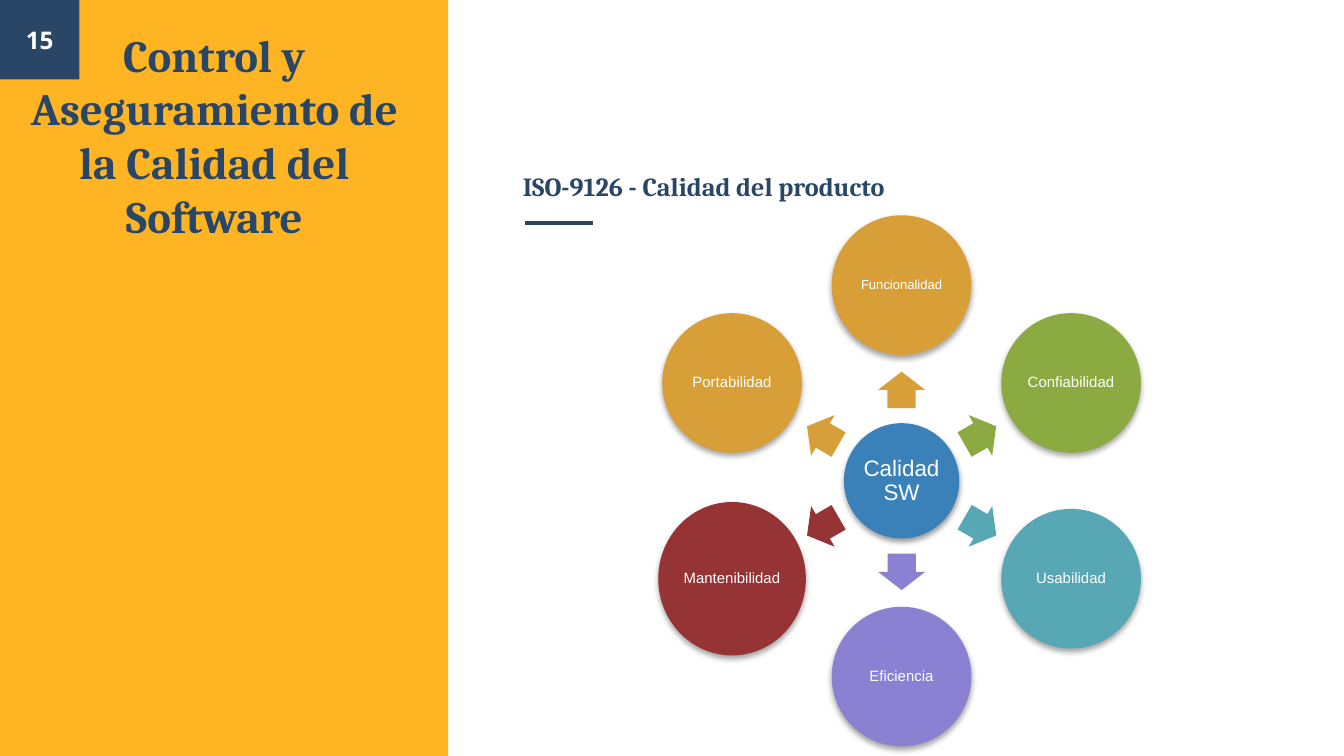
from dataclasses import dataclass
from math import cos, radians, sin

from lxml.etree import SubElement
from pptx import Presentation
from pptx.dml.color import RGBColor
from pptx.enum.shapes import MSO_CONNECTOR, MSO_SHAPE
from pptx.enum.text import MSO_ANCHOR, MSO_AUTO_SIZE, PP_ALIGN
from pptx.oxml.ns import qn
from pptx.util import Cm, Pt


@dataclass(frozen=True)
class Theme:
    navy: str = "294667"
    amber: str = "FFA800"
    white: str = "FFFFFF"
    blue: str = "3A81BA"
    gold: str = "D89F39"
    green: str = "8BAB42"
    teal: str = "57A7B5"
    violet: str = "8B81D2"
    red: str = "963334"
    serif: str = "Cambria"
    sans: str = "Arial"
    number_font: str = "Open Sans"
    heading_size: float = 24
    title_size: float = 14
    number_size: float = 13
    hub_size: float = 12
    label_size: float = 8
    small_label_size: float = 7


THEME = Theme()
SLIDE_W, SLIDE_H = 25.4, 14.29
PANEL_W = 8.47
BADGE = 1.5

# label, colour, direction in degrees (clockwise from east), width, height, type size
QUALITIES = [
    ("Funcionalidad", THEME.gold, 270, 2.64, 2.64, THEME.small_label_size),
    ("Confiabilidad", THEME.green, 330, 2.64, 2.64, THEME.label_size),
    ("Usabilidad", THEME.teal, 30, 2.64, 2.64, THEME.label_size),
    ("Eficiencia", THEME.violet, 90, 2.64, 2.64, THEME.label_size),
    ("Mantenibilidad", THEME.red, 150, 2.79, 2.9, THEME.label_size),
    ("Portabilidad", THEME.gold, 210, 2.64, 2.64, THEME.label_size),
]


def write(shape, text, *, font, size, color, bold=False, align=PP_ALIGN.CENTER,
          anchor=MSO_ANCHOR.MIDDLE, inset=0.25, spacing=1.0):
    frame = shape.text_frame
    frame.word_wrap = True
    frame.auto_size = MSO_AUTO_SIZE.NONE
    frame.vertical_anchor = anchor
    frame.margin_left = frame.margin_right = Cm(inset)
    frame.margin_top = frame.margin_bottom = Cm(inset)
    paragraph = frame.paragraphs[0]
    paragraph.alignment = align
    paragraph.line_spacing = spacing
    run = paragraph.add_run()
    run.text = text
    run.font.name = font
    run.font.size = Pt(size)
    run.font.bold = bold
    run.font.color.rgb = RGBColor.from_string(color)


def add_filled(slide, preset, box, color):
    shape = slide.shapes.add_shape(preset, *map(Cm, box))
    shape.shadow.inherit = False
    shape.fill.solid()
    shape.fill.fore_color.rgb = RGBColor.from_string(color)
    shape.line.fill.background()
    return shape


def set_opacity(shape, percent):
    color = shape.element.spPr.find(qn("a:solidFill")).find(qn("a:srgbClr"))
    SubElement(color, qn("a:alpha"), val=str(percent * 1000))


def cast_shadow(shape, opacity, distance):
    effects = shape.element.spPr.find(qn("a:effectLst"))
    shadow = SubElement(effects, qn("a:outerShdw"), blurRad=str(Pt(3.1)),
                        dist=str(Pt(distance)), dir="5400000", rotWithShape="0")
    color = SubElement(shadow, qn("a:srgbClr"), val="000000")
    SubElement(color, qn("a:alpha"), val=str(opacity * 1000))


def centred(x, y, width, height):
    return x - width / 2, y - height / 2, width, height


def add_side_panel(slide, box):
    left, top, width, _ = box
    panel = add_filled(slide, MSO_SHAPE.RECTANGLE, box, THEME.amber)
    set_opacity(panel, 86)
    badge = add_filled(slide, MSO_SHAPE.RECTANGLE, (left, top, BADGE, BADGE), THEME.navy)
    write(badge, "15", font=THEME.number_font, size=THEME.number_size,
          color=THEME.white, bold=True)
    heading = slide.shapes.add_textbox(Cm(left), Cm(top), Cm(width - 0.37), Cm(5.1))
    write(heading, "Control y Aseguramiento de la Calidad del Software",
          font=THEME.serif, size=THEME.heading_size, color=THEME.navy, bold=True)


def add_title(slide, box):
    left, top, width, height = box
    title = slide.shapes.title
    title.left, title.top, title.width, title.height = map(Cm, box)
    write(title, "ISO-9126 - Calidad del producto", font=THEME.serif,
          size=THEME.title_size, color=THEME.navy, bold=True,
          align=PP_ALIGN.LEFT, anchor=MSO_ANCHOR.BOTTOM)
    rule_x, rule_y = left + 0.3, top + height + 0.15
    rule = slide.shapes.add_connector(MSO_CONNECTOR.STRAIGHT, Cm(rule_x), Cm(rule_y),
                                      Cm(rule_x + 1.27), Cm(rule_y))
    rule.line.color.rgb = RGBColor.from_string(THEME.navy)
    rule.line.width = Pt(2.25)
    SubElement(rule.element.spPr, qn("a:effectLst"))


def add_circle(slide, box, text, color, size, inset, opacity, distance):
    circle = add_filled(slide, MSO_SHAPE.OVAL, box, color)
    cast_shadow(circle, opacity, distance)
    write(circle, text, font=THEME.sans, size=size, color=THEME.white,
          inset=inset, spacing=0.9)


def add_quality_wheel(slide, box):
    left, top, width, height = box
    center_x, center_y = left + width / 2, top + height / 2
    orbit = (height - 2.64) / 2
    arrow_orbit = 1.72

    add_circle(slide, centred(center_x, center_y, 2.18, 2.18), "Calidad SW",
               THEME.blue, THEME.hub_size, 0.04, 38, 1.6)
    for label, color, angle, circle_w, circle_h, size in QUALITIES:
        dx, dy = cos(radians(angle)), sin(radians(angle))
        arrow_box = centred(center_x + arrow_orbit * dx, center_y + arrow_orbit * dy,
                            0.69, 0.89)
        arrow = add_filled(slide, MSO_SHAPE.RIGHT_ARROW, arrow_box, color)
        arrow.adjustments[0], arrow.adjustments[1] = 0.6, 0.5
        arrow.rotation = angle
        circle_box = centred(center_x + orbit * dx, center_y + orbit * dy,
                             circle_w, circle_h)
        add_circle(slide, circle_box, label, color, size, 0.03, 35, 1.8)


def main():
    deck = Presentation()
    deck.slide_width, deck.slide_height = Cm(SLIDE_W), Cm(SLIDE_H)
    slide = deck.slides.add_slide(deck.slide_layouts[5])
    slide.background.fill.solid()
    slide.background.fill.fore_color.rgb = RGBColor.from_string(THEME.white)

    add_side_panel(slide, (0, 0, PANEL_W, SLIDE_H))
    add_title(slide, (9.63, 2.21, 14.5, 1.85))
    add_quality_wheel(slide, (12.51, 4.07, 9.06, 10.04))
    deck.save("out.pptx")


if __name__ == "__main__":
    main()
